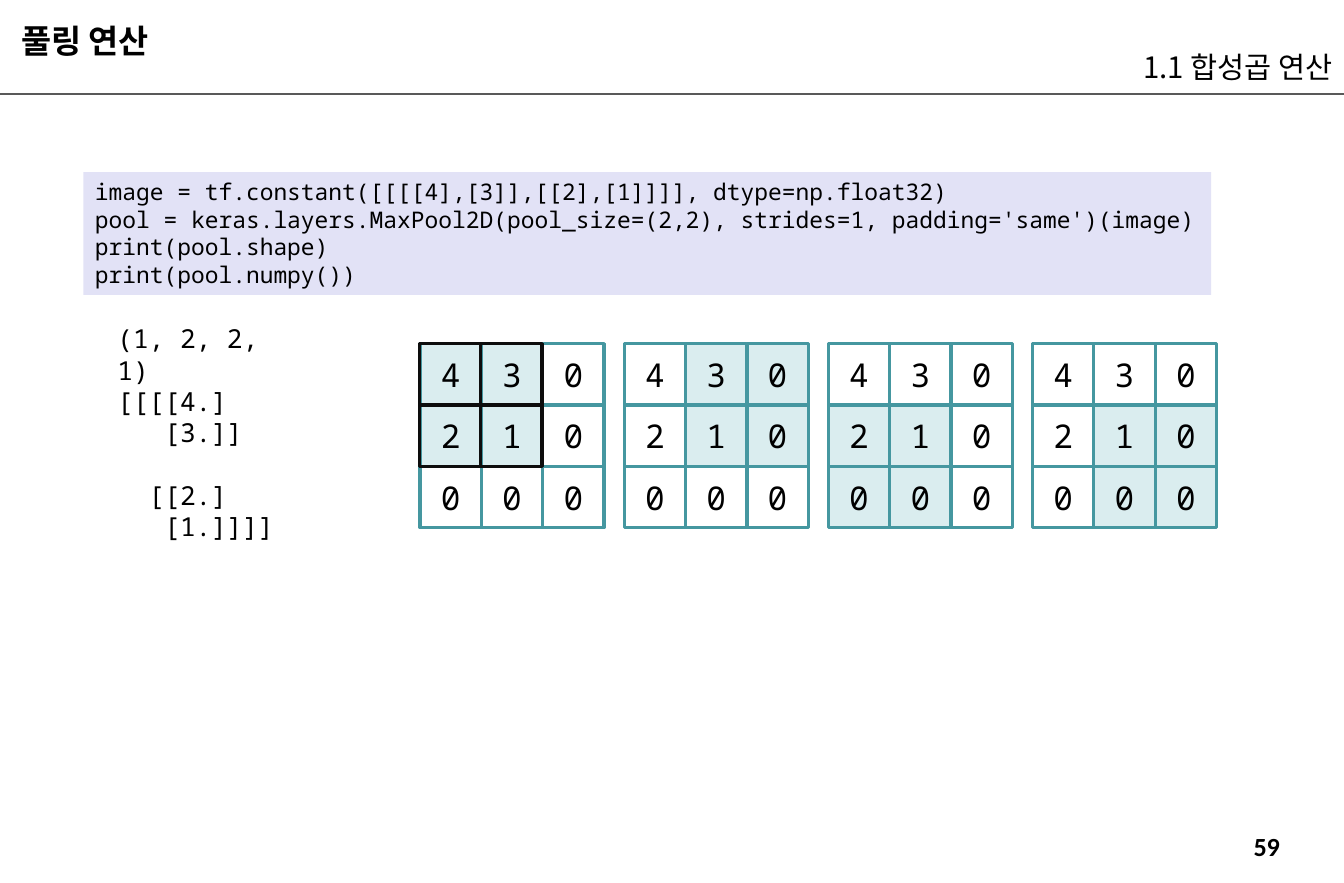
"""Build a slide that shows a 2 by 2 max pooling window with stride 1 and same padding."""
from itertools import product

from lxml.etree import SubElement
from pptx import Presentation
from pptx.dml.color import RGBColor
from pptx.enum.shapes import MSO_CONNECTOR, MSO_SHAPE
from pptx.enum.text import MSO_ANCHOR, PP_ALIGN
from pptx.oxml.ns import qn
from pptx.util import Pt

TITLE = ["풀링 연산"]
SECTION = ["1.1 합성곱 연산"]
PAGE_NUMBER = ["59"]
CODE = [
    "image = tf.constant([[[[4],[3]],[[2],[1]]]], dtype=np.float32)",
    "pool = keras.layers.MaxPool2D(pool_size=(2,2), strides=1, padding='same')(image)",
    "print(pool.shape)",
    "print(pool.numpy())",
]
OUTPUT = ["(1, 2, 2, 1)", "[[[[4.]", "   [3.]]", "  [[2.]", "   [1.]]]]"]
OUTPUT_BREAK = 3
PADDED_IMAGE = [(4, 3, 0), (2, 1, 0), (0, 0, 0)]
WINDOW_STARTS = [(0, 0), (0, 1), (1, 0), (1, 1)]
WINDOW_SIZE = 2

THEME = {
    "ink": "000000", "rule": "595959", "code": "E2E2F6", "cell": "FFFFFF",
    "window": "DAEDEF", "grid": "4597A0", "outline": "0D0D0D",
    "heading_font": "Calibri", "korean_font": "Noto Sans CJK KR", "code_font": "Noto Sans Mono",
    "title_size": 20, "section_size": 18, "code_size": 14, "body_size": 16, "cell_size": 20,
}
PAGE_WIDTH, PAGE_HEIGHT = 822.24, 540
RULE_TOP = 57.6
CELL = 37.53
GRID_LEFT, GRID_TOP, GRID_PITCH = 257, 210.2, 124.9


def color(name):
    return RGBColor.from_string(THEME[name])


def write(shape, lines, font, size, align=PP_ALIGN.LEFT, bold=False,
          anchor=MSO_ANCHOR.TOP, insets=(7.2, 3.6)):
    frame = shape.text_frame
    side, edge = map(Pt, insets)
    settings = {"word_wrap": True, "vertical_anchor": anchor, "margin_left": side,
                "margin_right": side, "margin_top": edge, "margin_bottom": edge}
    for name, value in settings.items():
        setattr(frame, name, value)
    for index, line in enumerate(lines):
        para = frame.paragraphs[0] if index == 0 else frame.add_paragraph()
        para.alignment = align
        span = para.add_run()
        span.text = line
        formats = {"name": THEME[font], "size": Pt(THEME[size]), "bold": bold}
        for name, value in formats.items():
            setattr(span.font, name, value)
        span.font.color.rgb = color("ink")
        east_asian = SubElement(span.font._element, qn("a:ea"))
        east_asian.set("typeface", THEME["korean_font"])
    return frame


def add_text(page, place, lines, font, size, **options):
    return write(page.shapes.add_textbox(*map(Pt, place)), lines, font, size, **options)


def add_box(page, place, fill=None, line=None):
    box = page.shapes.add_shape(MSO_SHAPE.RECTANGLE, *map(Pt, place))
    box.shadow.inherit = False
    if fill:
        box.fill.solid()
        box.fill.fore_color.rgb = color(fill)
    else:
        box.fill.background()
    if line:
        box.line.color.rgb = color(line)
        box.line.width = Pt(2)
    else:
        box.line.fill.background()
    return box


def add_rule(page):
    rule = page.shapes.add_connector(
        MSO_CONNECTOR.STRAIGHT, Pt(0), Pt(RULE_TOP), Pt(PAGE_WIDTH), Pt(RULE_TOP))
    rule.line.color.rgb = color("rule")
    rule.line.width = Pt(1.5)
    SubElement(rule._element.spPr, qn("a:effectLst"))


def cell_place(grid_left, row, column):
    return grid_left + column * CELL, GRID_TOP + row * CELL, CELL, CELL


def add_grid(page, grid_left, window_start):
    first_row, first_column = window_start
    for row, values in enumerate(PADDED_IMAGE):
        for column, value in enumerate(values):
            inside = (first_row <= row < first_row + WINDOW_SIZE
                      and first_column <= column < first_column + WINDOW_SIZE)
            cell = add_box(page, cell_place(grid_left, row, column),
                           "window" if inside else "cell", "grid")
            write(cell, [str(value)], "code_font", "cell_size",
                  align=PP_ALIGN.CENTER, anchor=MSO_ANCHOR.MIDDLE)


def main():
    deck = Presentation()
    deck.slide_width, deck.slide_height = Pt(PAGE_WIDTH), Pt(PAGE_HEIGHT)
    page = deck.slides.add_slide(deck.slide_layouts[6])

    add_text(page, (728, 504, 94, 17.3), PAGE_NUMBER, "heading_font", "body_size",
             align=PP_ALIGN.CENTER, bold=True)
    add_rule(page)
    heading = {"anchor": MSO_ANCHOR.BOTTOM, "insets": (7.2, 1.44)}
    add_text(page, (5.8, 6.5, 466.6, 31.7), TITLE, "heading_font", "title_size",
             bold=True, **heading)
    add_text(page, (440, 21.6, 382.24, 31.7), SECTION, "korean_font", "section_size",
             align=PP_ALIGN.RIGHT, **heading)

    code_box = add_box(page, (51, 105.3, 690, 75), "code")
    write(code_box, CODE, "code_font", "code_size")
    output = add_text(page, (64.8, 193.7, 120.2, 123.8), OUTPUT, "code_font", "body_size")
    output.paragraphs[OUTPUT_BREAK].space_before = Pt(19.1)

    for index, window_start in enumerate(WINDOW_STARTS):
        add_grid(page, GRID_LEFT + index * GRID_PITCH, window_start)
    for row, column in product(range(WINDOW_SIZE), repeat=2):
        add_box(page, cell_place(GRID_LEFT - 0.5, row, column), line="outline")

    deck.save("out.pptx")


if __name__ == "__main__":
    main()
